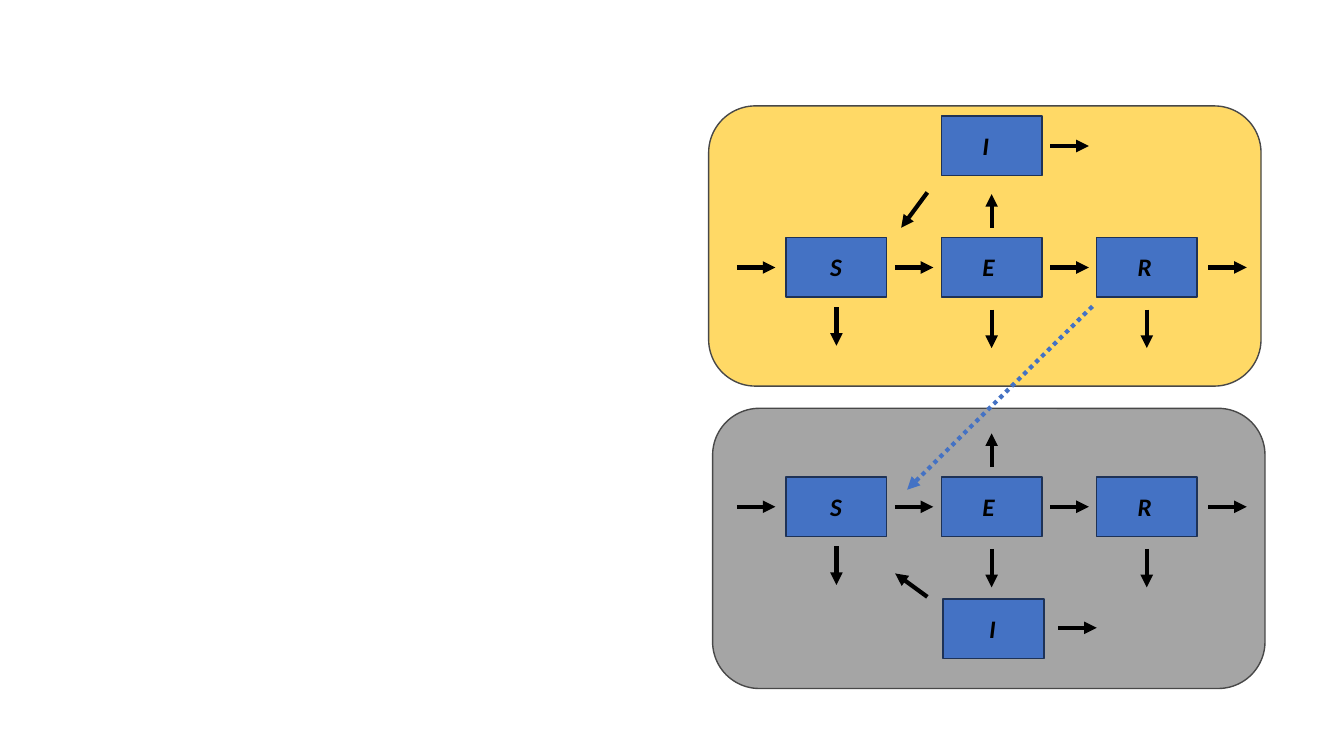
from pptx import Presentation
from pptx.dml.color import RGBColor
from pptx.enum.dml import MSO_LINE_DASH_STYLE as Dash
from pptx.enum.shapes import MSO_CONNECTOR as Connector, MSO_SHAPE as Shape
from pptx.enum.text import MSO_AUTO_SIZE as AutoSize
from pptx.oxml.ns import qn
from pptx.util import Cm, Pt
from lxml.etree import SubElement


class Theme:
    yellow = RGBColor.from_string("FFD966")
    gray = RGBColor.from_string("A5A5A5")
    panel_edge = RGBColor.from_string("484848")
    blue = RGBColor.from_string("4472C4")
    box_edge = RGBColor.from_string("1E3256")
    black = RGBColor.from_string("000000")
    font = "Calibri"
    label_size = Pt(18)
    edge_width = Pt(1)
    arrow_width = Pt(3)


class Diagram:
    BOX_WIDTH, BOX_HEIGHT = 2.54, 1.5

    def __init__(self, page, theme):
        self.page = page
        self.theme = theme

    def block(self, kind, left, top, width, height, fill, edge):
        block = self.page.shapes.add_shape(kind, Cm(left), Cm(top), Cm(width), Cm(height))
        block.shadow.inherit = False
        block.fill.solid()
        block.fill.fore_color.rgb = fill
        block.line.color.rgb = edge
        block.line.width = self.theme.edge_width

    def panel(self, left, top, fill):
        self.block(Shape.ROUNDED_RECTANGLE, left, top, 13.92, 7.06, fill, self.theme.panel_edge)

    def label(self, text, left, top):
        box = self.page.shapes.add_textbox(Cm(left), Cm(top), Cm(0.97), Cm(1.02))
        frame = box.text_frame
        frame.word_wrap = True
        frame.auto_size = AutoSize.SHAPE_TO_FIT_TEXT
        span = frame.paragraphs[0].add_run()
        span.text = text
        font = span.font
        font.name, font.size = self.theme.font, self.theme.label_size
        font.bold = font.italic = True
        font.color.rgb = self.theme.black

    def compartment(self, text, left, top, indent):
        self.block(Shape.RECTANGLE, left, top, self.BOX_WIDTH, self.BOX_HEIGHT,
                   self.theme.blue, self.theme.box_edge)
        self.label(text, left + indent, top + 0.23)

    def arrow(self, x1, y1, x2, y2, color=None, dash=None):
        arrow = self.page.shapes.add_connector(
            Connector.STRAIGHT, Cm(x1), Cm(y1), Cm(x2), Cm(y2))
        arrow.line.color.rgb = color or self.theme.black
        arrow.line.width = self.theme.arrow_width
        if dash:
            arrow.line.dash_style = dash
        properties = arrow.element.spPr
        SubElement(properties.find(qn("a:ln")), qn("a:tailEnd"), type="triangle")
        SubElement(properties, qn("a:effectLst"))

    def right_arrow(self, x, y):
        self.arrow(x, y, x + 0.97, y)

    def chain(self, middle):
        """Row S, E, R with its flows, centred on the height middle."""
        first, step = 19.81, 3.91
        top = middle - self.BOX_HEIGHT / 2
        for column, (text, indent, gap) in enumerate(
                [("S", 0.86, 1), ("E", 0.79, 1.06), ("R", 0.79, 1.06)]):
            left = first + column * step
            center = left + self.BOX_WIDTH / 2
            self.compartment(text, left, top, indent)
            self.arrow(center, middle + gap, center, middle + gap + 0.97)
        for x in (18.57, 22.55, 26.47, 30.45):
            self.right_arrow(x, middle)
        center = first + step + self.BOX_WIDTH / 2
        self.arrow(center, middle - 1, center, middle - 1.85)


def main():
    deck = Presentation()
    deck.slide_width, deck.slide_height = Cm(33.87), Cm(19.05)
    page = deck.slides.add_slide(deck.slide_layouts[6])
    theme = Theme()
    diagram = Diagram(page, theme)

    # Background panels
    diagram.panel(17.96, 10.29, theme.gray)
    diagram.panel(17.86, 2.67, theme.yellow)

    # Upper model: I above the chain
    diagram.chain(6.74)
    diagram.compartment("I", 23.72, 2.92, 0.79)
    diagram.right_arrow(26.47, 3.68)
    diagram.arrow(23.37, 4.85, 22.71, 5.74)

    # Lower model: I below the chain
    diagram.chain(12.77)
    diagram.compartment("I", 23.77, 15.09, 0.91)
    diagram.right_arrow(26.67, 15.82)
    diagram.arrow(23.37, 15.04, 22.56, 14.45)

    # Link between the models
    diagram.arrow(27.53, 7.72, 22.86, 12.34, theme.blue, Dash.ROUND_DOT)

    deck.save("out.pptx")


if __name__ == "__main__":
    main()
